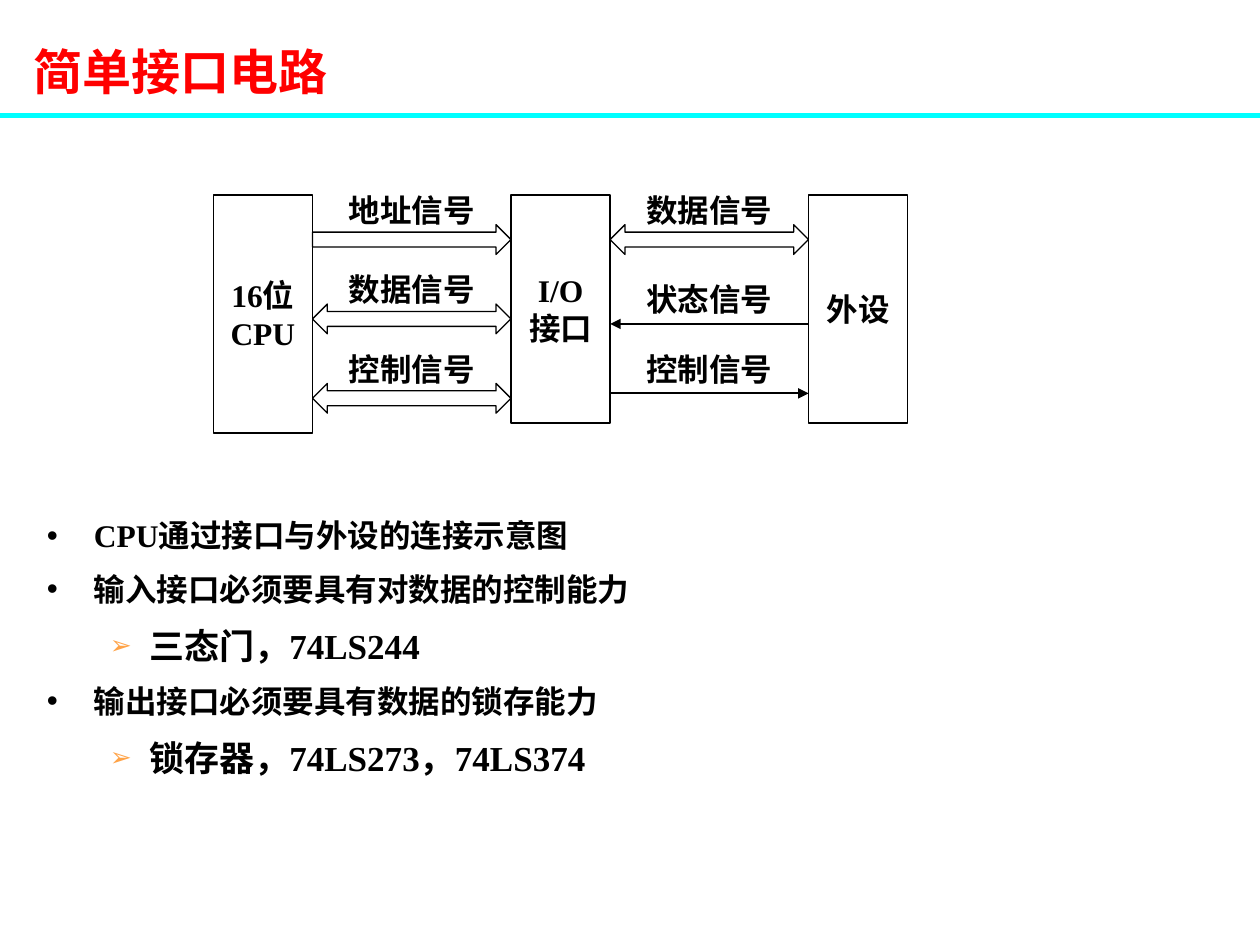
from lxml.etree import SubElement
from pptx import Presentation
from pptx.dml.color import RGBColor
from pptx.enum.shapes import MSO_CONNECTOR as Conn, MSO_SHAPE as Shape
from pptx.enum.text import MSO_ANCHOR as Anchor, MSO_AUTO_SIZE as AutoSize, PP_ALIGN as Align
from pptx.oxml.ns import qn
from pptx.util import Cm, Pt

FONT = "Times New Roman"
BOX_W, GAP, ARROW_H = 2, 4, 0.6
LABEL_W, LABEL_H = 3.6, 1
BOXES = [("16位\nCPU", 4.8), ("I/O\n接口", 4.6), ("外设", 4.6)]
BUSES = [
    (0, "地址信号", -0.2, 0.9, Shape.RIGHT_ARROW),
    (0, "数据信号", 1.4, 2.5, Shape.LEFT_RIGHT_ARROW),
    (0, "控制信号", 3, 4.1, Shape.LEFT_RIGHT_ARROW),
    (1, "数据信号", -0.2, 0.9, Shape.LEFT_RIGHT_ARROW),
]
WIRES = [
    (1, "状态信号", 1.6, 2.6, "headEnd"),
    (1, "控制信号", 3, 4, "tailEnd"),
]
POINTS = [
    (0, "CPU通过接口与外设的连接示意图"),
    (0, "输入接口必须要具有对数据的控制能力"),
    (1, "三态门，74LS244"),
    (0, "输出接口必须要具有数据的锁存能力"),
    (1, "锁存器，74LS273，74LS374"),
]
LEVELS = [
    dict(char="•", color="000000", pct=100, left=0.95, hang=0.95, size=18, before=4.5),
    dict(char="➢", color="FFA347", pct=75, left=2.06, hang=0.79, size=20, before=5),
]


def rgb(color):
    """Turn a hex string into a colour."""
    return RGBColor.from_string(color)


def place(sp, x, y, w, h):
    """Move and size a shape in centimetres."""
    sp.left, sp.top, sp.width, sp.height = Cm(x), Cm(y), Cm(w), Cm(h)


def style(p, size, color="000000", align=Align.LEFT):
    """Format all runs of a paragraph."""
    p.alignment = align
    for r in p.runs:
        r.font.name, r.font.size, r.font.bold = FONT, Pt(size), True
        r.font.color.rgb = rgb(color)


def center_text(sp, text):
    """Write bold text in the middle of a shape."""
    tf = sp.text_frame
    tf.text = text
    tf.word_wrap = True
    tf.vertical_anchor = Anchor.MIDDLE
    for p in tf.paragraphs:
        style(p, 18, align=Align.CENTER)


def add_outline(shapes, kind, x, y, w, h):
    """Add an unfilled shape with a thin black outline."""
    sp = shapes.add_shape(kind, Cm(x), Cm(y), Cm(w), Cm(h))
    sp.shadow.inherit = False
    sp.fill.background()
    sp.line.color.rgb = rgb("000000")
    sp.line.width = Pt(0.75)
    return sp


def add_line(shapes, x, y, w, color, width, arrow=None):
    """Add a horizontal line, with an arrowhead at one end if asked."""
    line = shapes.add_connector(Conn.STRAIGHT, Cm(x), Cm(y), Cm(x + w), Cm(y))
    line.line.color.rgb = rgb(color)
    line.line.width = Pt(width)
    props = line._element.spPr
    if arrow:
        SubElement(props.find(qn("a:ln")), qn(f"a:{arrow}"), type="triangle")
    SubElement(props, qn("a:effectLst"))


def add_label(shapes, text, x, y):
    """Add a signal name centred over the gap that starts at x."""
    inset = (GAP - LABEL_W) / 2
    sp = shapes.add_textbox(Cm(x + inset), Cm(y), Cm(LABEL_W), Cm(LABEL_H))
    center_text(sp, text)


def add_bullet(p, char, color, pct):
    """Give a paragraph its bullet."""
    props = p._p.get_or_add_pPr()
    SubElement(SubElement(props, qn("a:buClr")), qn("a:srgbClr"), val=color)
    SubElement(props, qn("a:buSzPct"), val=str(pct * 1000))
    SubElement(props, qn("a:buChar"), char=char)


def fill_title(s, x, y, w, h):
    """Set the red title and the rule under it."""
    add_line(s.shapes, 0, y + h, 25.4, "00FFFF", 3)
    title = s.shapes.title
    place(title, x, y, w, h)
    tf = title.text_frame
    tf.text = "简单接口电路"
    tf.auto_size = AutoSize.NONE
    tf.vertical_anchor = Anchor.MIDDLE
    style(tf.paragraphs[0], 28, "FF0000")


def add_diagram(s, x, y):
    """Draw the three blocks and the signals between them."""
    shapes = s.shapes.add_group_shape().shapes
    pitch = BOX_W + GAP
    for i, (text, h) in enumerate(BOXES):
        center_text(add_outline(shapes, Shape.RECTANGLE, x + i * pitch, y, BOX_W, h), text)
    for col, text, label_y, mid, kind in BUSES:
        left = x + BOX_W + col * pitch
        add_outline(shapes, kind, left, y + mid - ARROW_H / 2, GAP, ARROW_H)
        add_label(shapes, text, left, y + label_y)
    for col, text, label_y, mid, end in WIRES:
        left = x + BOX_W + col * pitch
        add_line(shapes, left, y + mid, GAP, "000000", 1.25, end)
        add_label(shapes, text, left, y + label_y)


def fill_points(s, x, y, w, h):
    """Write the two-level list in the body placeholder."""
    body = s.placeholders[1]
    place(body, x, y, w, h)
    tf = body.text_frame
    tf.auto_size = AutoSize.NONE
    for i, (level, text) in enumerate(POINTS):
        p = tf.add_paragraph() if i else tf.paragraphs[0]
        look = LEVELS[level]
        p.text = text
        p.level = level
        add_bullet(p, look["char"], look["color"], look["pct"])
        props = p._p.get_or_add_pPr()
        props.set("marL", str(Cm(look["left"])))
        props.set("indent", str(-Cm(look["hang"])))
        p.line_spacing = 1.2
        p.space_before = Pt(look["before"] if i else 0)
        style(p, look["size"])


def main():
    """Build and save the slide."""
    prs = Presentation()
    prs.slide_width, prs.slide_height = Cm(25.4), Cm(19.05)
    s = prs.slides.add_slide(prs.slide_layouts[1])
    fill_title(s, 0.43, 0.53, 24.97, 1.8)
    fill_points(s, 0.69, 10.13, 24.2, 6.8)
    add_diagram(s, 4.3, 3.93)
    prs.save("out.pptx")


if __name__ == "__main__":
    main()
